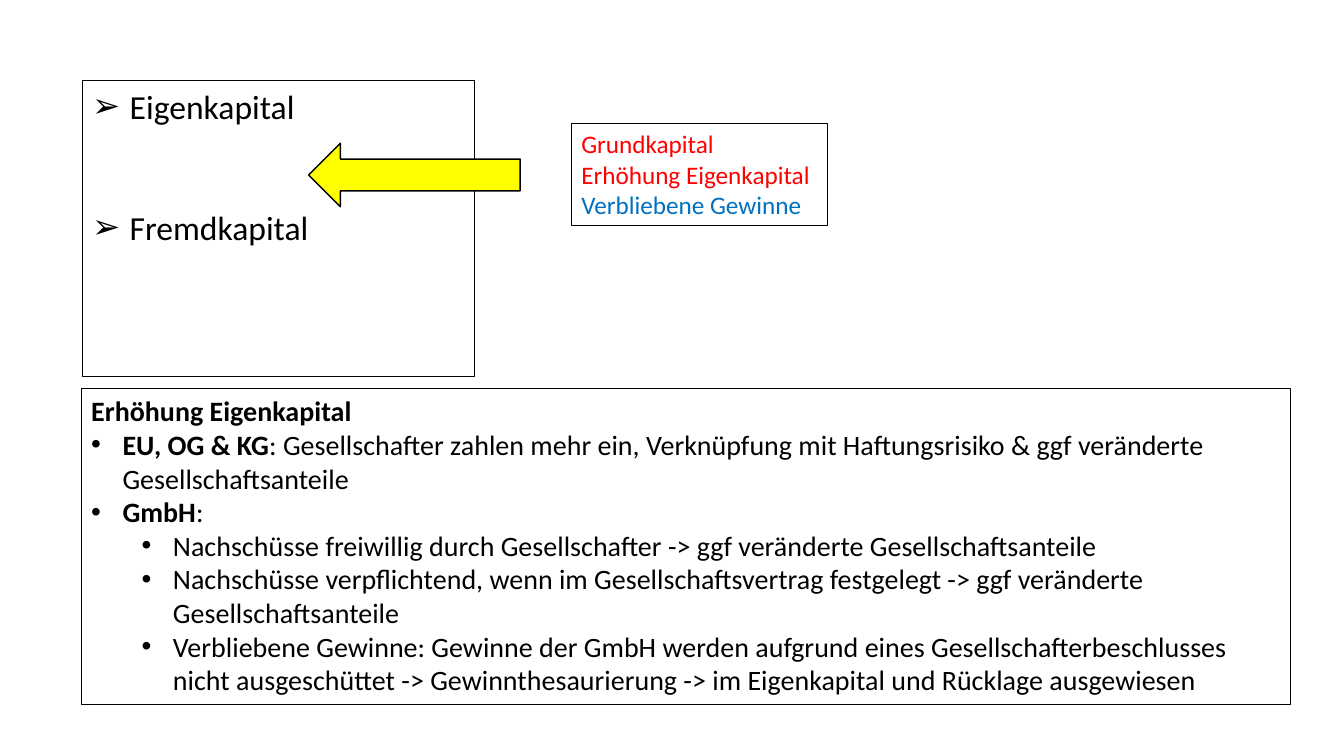
from lxml import etree
from pptx import Presentation
from pptx.dml.color import RGBColor
from pptx.enum.shapes import MSO_SHAPE
from pptx.oxml.ns import qn
from pptx.util import Cm, Pt

LEFT_ARROW = MSO_SHAPE.LEFT_ARROW
BLACK = RGBColor(0x00, 0x00, 0x00)
RED = RGBColor(0xFF, 0x00, 0x00)
BLUE = RGBColor(0x00, 0x70, 0xC0)
YELLOW = RGBColor(0xFF, 0xFF, 0x00)

FONT = "Calibri"
CAPITAL_KINDS = ["Eigenkapital", "Fremdkapital"]
EQUITY_SOURCES = [
    ("Grundkapital", RED),
    ("Erhöhung Eigenkapital", RED),
    ("Verbliebene Gewinne", BLUE),
]
LEGAL_FORMS = [
    (
        "EU, OG & KG",
        ": Gesellschafter zahlen mehr ein, Verknüpfung mit Haftungsrisiko "
        "& ggf veränderte Gesellschaftsanteile",
        [],
    ),
    (
        "GmbH",
        ":",
        [
            "Nachschüsse freiwillig durch Gesellschafter -> ggf veränderte "
            "Gesellschaftsanteile",
            "Nachschüsse verpflichtend, wenn im Gesellschaftsvertrag festgelegt "
            "-> ggf veränderte Gesellschaftsanteile",
            "Verbliebene Gewinne: Gewinne der GmbH werden aufgrund eines "
            "Gesellschafterbeschlusses nicht ausgeschüttet -> "
            "Gewinnthesaurierung -> im Eigenkapital und Rücklage ausgewiesen",
        ],
    ),
]


def add_frame(slide, left, top, width, height):
    frame = slide.shapes.add_textbox(Cm(left), Cm(top), Cm(width), Cm(height))
    frame.line.color.rgb = BLACK
    frame.line.width = Pt(0.75)
    frame.text_frame.word_wrap = True
    return frame.text_frame


def add_line(frame, text, size, color=BLACK):
    first = frame.paragraphs[0]
    line = frame.add_paragraph() if first.runs else first
    line.add_run().text = text
    line.font.name = FONT
    line.font.size = Pt(size)
    line.font.color.rgb = color
    return line


def set_bullet(line, symbol, indent, hanging):
    properties = line._p.get_or_add_pPr()
    properties.set("marL", str(Cm(indent)))
    properties.set("indent", str(-Cm(hanging)))
    etree.SubElement(properties, qn("a:buFont")).set("typeface", "Arial")
    bullet = etree.SubElement(properties, qn("a:buChar"))
    bullet.set("char", symbol)
    defaults = properties.find(qn("a:defRPr"))
    if defaults is not None:
        properties.append(defaults)


def add_arrow(slide, left, top, width, height):
    arrow = slide.shapes.add_shape(
        LEFT_ARROW, Cm(left), Cm(top), Cm(width), Cm(height)
    )
    arrow.shadow.inherit = False
    arrow.fill.solid()
    arrow.fill.fore_color.rgb = YELLOW
    arrow.line.color.rgb = BLACK
    arrow.line.width = Pt(1)


def add_capital_kinds(slide):
    frame = add_frame(slide, 2.07, 2.03, 9.9, 7.45)
    for kind in CAPITAL_KINDS:
        line = add_line(frame, kind, 24)
        set_bullet(line, "➢", 0.95, 0.95)
    line.space_before = Pt(58)


def add_equity_sources(slide):
    frame = add_frame(slide, 14.4, 3.12, 6.46, 2.57)
    for source, color in EQUITY_SOURCES:
        add_line(frame, source, 18, color)


def add_equity_increase(slide):
    frame = add_frame(slide, 2.05, 9.8, 30.48, 7.95)
    add_line(frame, "Erhöhung Eigenkapital", 20).runs[0].font.bold = True
    for form, explanation, options in LEGAL_FORMS:
        line = add_line(frame, form, 20)
        line.runs[0].font.bold = True
        line.add_run().text = explanation
        set_bullet(line, "•", 0.79, 0.79)
        for option in options:
            option_line = add_line(frame, option, 20)
            option_line.level = 1
            set_bullet(option_line, "•", 2.06, 0.79)


def main():
    presentation = Presentation()
    presentation.slide_width = Cm(33.87)
    presentation.slide_height = Cm(19.05)
    slide = presentation.slides.add_slide(presentation.slide_layouts[6])
    add_capital_kinds(slide)
    add_arrow(slide, 7.78, 3.61, 5.33, 1.6)
    add_equity_sources(slide)
    add_equity_increase(slide)
    presentation.save("out.pptx")


if __name__ == "__main__":
    main()
